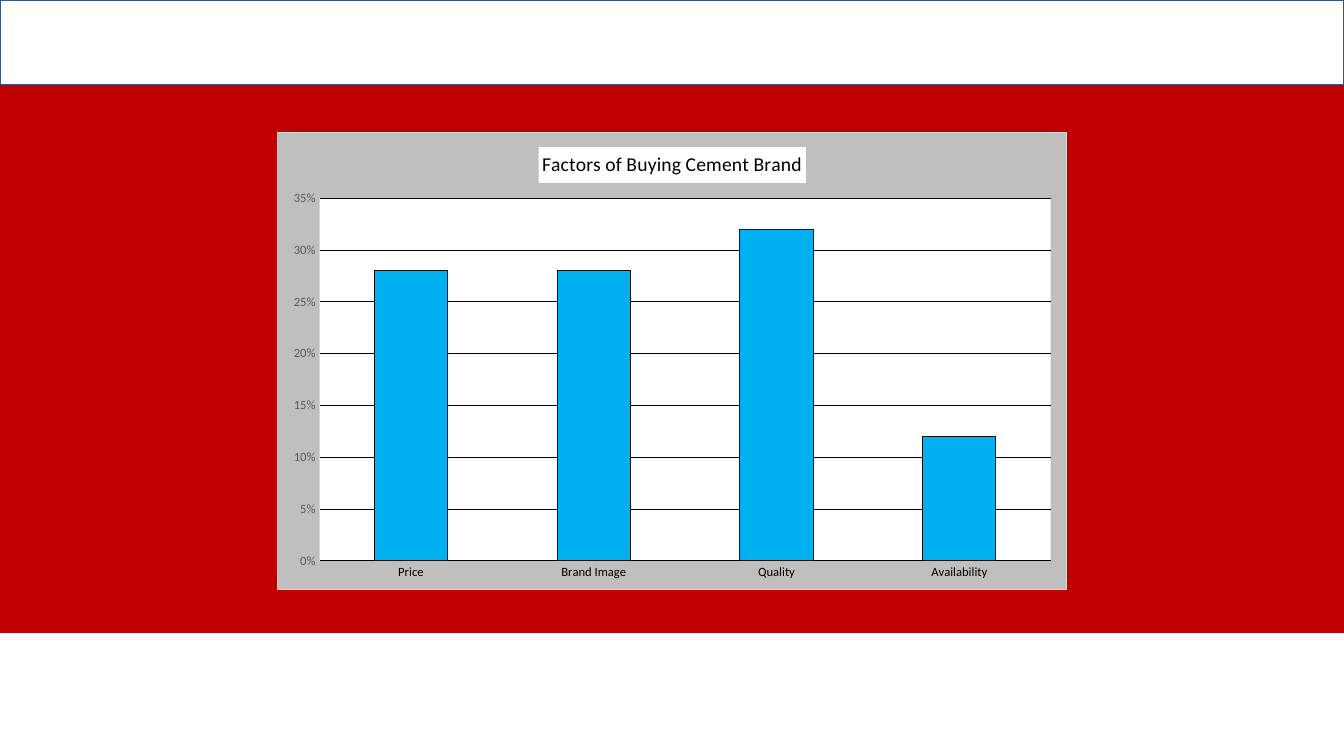
from dataclasses import dataclass

from lxml import etree
from pptx import Presentation
from pptx.chart.data import CategoryChartData
from pptx.dml.color import RGBColor
from pptx.enum.chart import XL_CHART_TYPE, XL_TICK_MARK
from pptx.enum.shapes import MSO_SHAPE
from pptx.oxml import parse_xml
from pptx.oxml.ns import qn
from pptx.util import Pt

RECT = MSO_SHAPE.RECTANGLE
STACK = XL_CHART_TYPE.COLUMN_STACKED
NO_TICK = XL_TICK_MARK.NONE
SPACES = (
    'xmlns:c="http://schemas.openxmlformats.org/drawingml/2006/chart" '
    'xmlns:a="http://schemas.openxmlformats.org/drawingml/2006/main"'
)


@dataclass(frozen=True)
class Theme:
    """Colours, font and type sizes of the slide."""
    red: str = "C00000"
    white: str = "FFFFFF"
    black: str = "000000"
    navy: str = "325491"
    grey: str = "BFBFBF"
    edge: str = "D9D9D9"
    label: str = "595959"
    bar: str = "00B0F0"
    rim: str = "0D0D0D"
    face: str = "Calibri"
    head: float = 14
    body: float = 10
    small: float = 9
    thin: float = 0.75


THEME = Theme()
FACTORS = {"Price": 0.28, "Brand Image": 0.28, "Quality": 0.32, "Availability": 0.12}


def set_all(item, values):
    """Set each named attribute on the item."""
    for name, value in values.items():
        setattr(item, name, value)


def set_font(font, size, color):
    """Apply the theme face, a size and a colour to a font."""
    set_all(font, {"name": THEME.face, "size": Pt(size), "bold": False})
    font.color.rgb = RGBColor.from_string(color)


def set_fill(fill, color):
    """Give a fill one solid colour."""
    fill.solid()
    fill.fore_color.rgb = RGBColor.from_string(color)


def set_line(line, color, width):
    """Give a line a colour and a width."""
    set_fill(line.fill, color)
    line.width = Pt(width)


def add_band(slide, box, fill, line):
    """Draw a full-width band in the given box."""
    band = slide.shapes.add_shape(RECT, *map(Pt, box))
    band.shadow.inherit = False
    set_fill(band.fill, fill)
    set_line(band.line, line, 1)


def area_xml(fill, line=None):
    """Build the fill and border element of a chart area."""
    edge = "<a:ln><a:noFill/></a:ln>"
    if line:
        edge = (
            f'<a:ln w="{Pt(THEME.thin)}"><a:solidFill>'
            f'<a:srgbClr val="{line}"/></a:solidFill></a:ln>'
        )
    return parse_xml(
        f'<c:spPr {SPACES}><a:solidFill><a:srgbClr val="{fill}"/>'
        f"</a:solidFill>{edge}</c:spPr>"
    )


def set_areas(chart):
    """Colour the chart and plot areas and place the plot."""
    root = chart.element.find(qn("c:chart"))
    root.addnext(area_xml(THEME.grey, THEME.edge))
    plot = root.find(qn("c:plotArea"))
    plot.append(area_xml(THEME.white))
    for old in plot.findall(qn("c:layout")):
        plot.remove(old)
    layout = etree.Element(qn("c:layout"))
    manual = etree.SubElement(layout, qn("c:manualLayout"))
    rules = {
        "layoutTarget": "inner", "xMode": "edge", "yMode": "edge",
        "x": "0.053", "y": "0.144", "w": "0.927", "h": "0.793",
    }
    for name, value in rules.items():
        etree.SubElement(manual, qn(f"c:{name}")).set("val", value)
    plot.insert(0, layout)


def set_axes(chart):
    """Format both axes and the grid."""
    cat, val = chart.category_axis, chart.value_axis
    for axis, color in ((cat, THEME.black), (val, THEME.label)):
        set_all(axis, {"major_tick_mark": NO_TICK, "minor_tick_mark": NO_TICK})
        axis.format.line.fill.background()
        set_font(axis.tick_labels.font, THEME.small, color)
    set_all(val, {
        "minimum_scale": 0, "maximum_scale": 0.35,
        "major_unit": 0.05, "has_major_gridlines": True,
    })
    set_line(val.major_gridlines.format.line, THEME.black, THEME.thin)
    set_all(val.tick_labels, {"number_format": "0%", "number_format_is_linked": False})


def set_title(chart, text):
    """Add the chart title on a white box."""
    title = chart.chart_title
    title.text_frame.text = text
    run = title.text_frame.paragraphs[0].runs[0]
    set_font(run.font, THEME.head, THEME.black)
    title.include_in_layout = False
    set_fill(title.format.fill, THEME.white)


def add_bars(slide, box):
    """Draw the column chart of buying factors in the given box."""
    data = CategoryChartData(number_format="0%")
    data.categories = list(FACTORS)
    data.add_series("Series 1", list(FACTORS.values()))
    chart = slide.shapes.add_chart(STACK, *map(Pt, box), data).chart
    chart.has_legend = False
    set_font(chart.font, THEME.body, THEME.black)
    set_title(chart, "Factors of Buying Cement Brand")
    plot = chart.plots[0]
    set_all(plot, {"gap_width": 150, "overlap": 100, "vary_by_categories": False})
    bars = plot.series[0].format
    set_fill(bars.fill, THEME.bar)
    set_line(bars.line, THEME.rim, THEME.thin)
    set_axes(chart)
    set_areas(chart)


def main():
    """Build and save the slide."""
    deck = Presentation()
    set_all(deck, {"slide_width": Pt(960), "slide_height": Pt(540)})
    slide = deck.slides.add_slide(deck.slide_layouts[6])
    set_fill(slide.background.fill, THEME.white)
    add_band(slide, (0, 54, 960, 397.5), THEME.red, THEME.red)
    add_band(slide, (0, 0, 960, 60.5), THEME.white, THEME.navy)
    add_bars(slide, (198, 94.3, 564.2, 327.4))
    deck.save("out.pptx")


if __name__ == "__main__":
    main()
